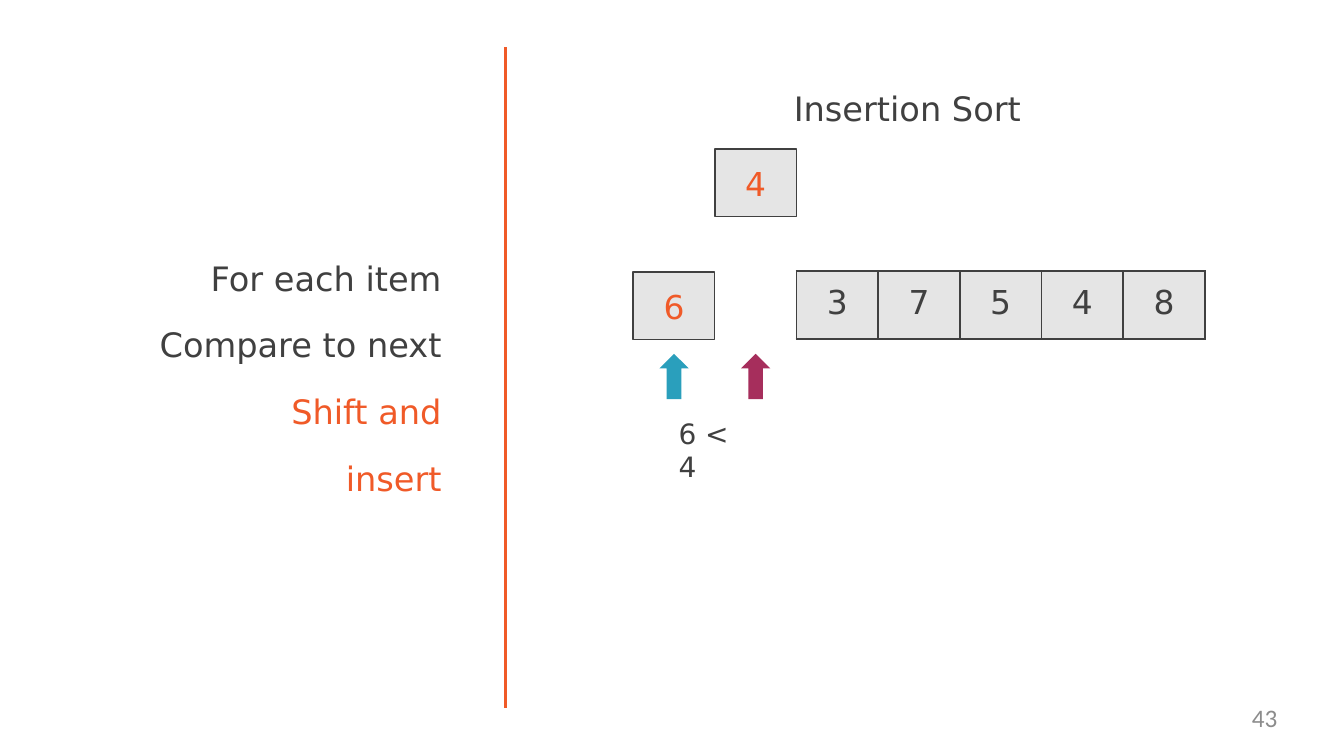
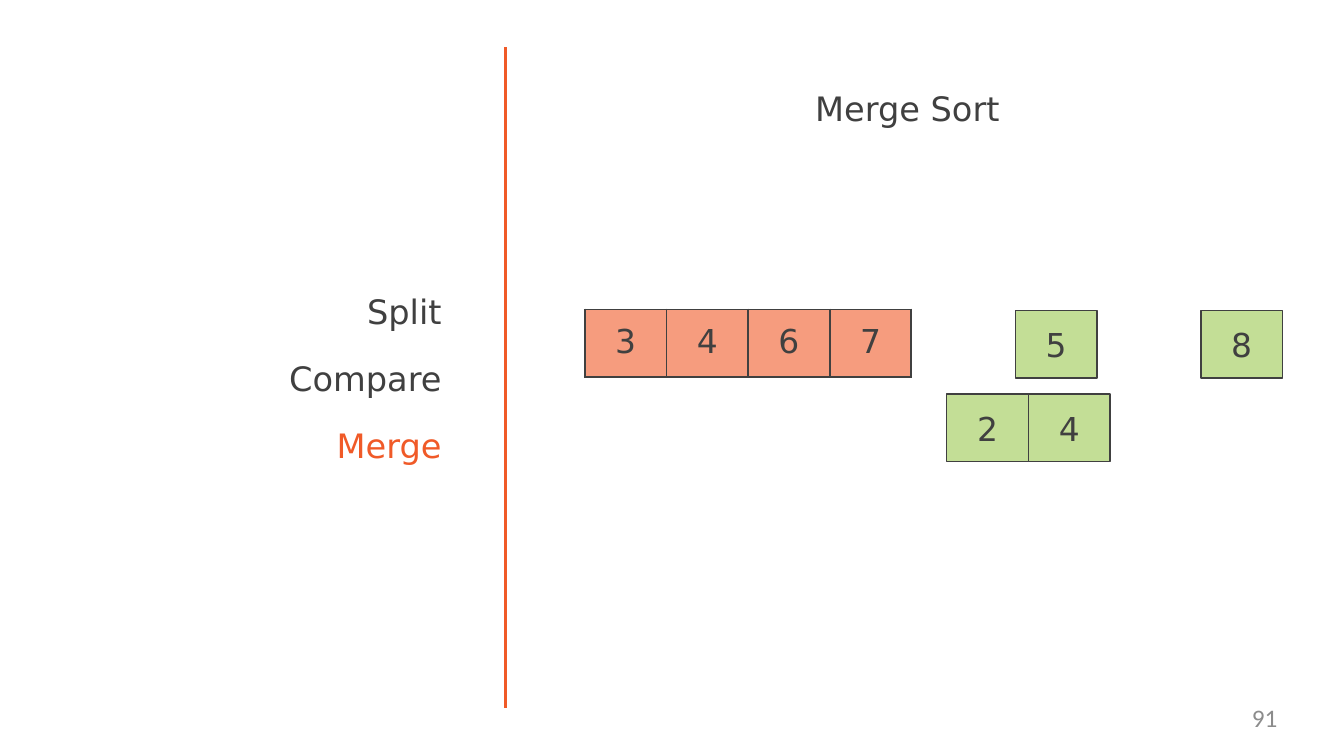
from dataclasses import dataclass

from lxml import etree
from pptx import Presentation
from pptx.dml.color import RGBColor
from pptx.enum import shapes, text
from pptx.oxml import ns
from pptx.util import Inches, Pt


@dataclass(frozen=True)
class Theme:
    font: str = "DejaVu Sans"
    number_font: str = "Calibri"
    ink: str = "404040"
    accent: str = "F05A28"
    muted: str = "8C8C8C"
    grey: str = "E5E5E5"
    salmon: str = "F69C7E"
    green: str = "C3DE96"
    blue: str = "2A9FBC"
    plum: str = "A62E5C"
    heading: float = 24
    digit: float = 23.5
    note: float = 20
    page_number: float = 18


THEME = Theme()
CELL_W, CELL_H = 0.81, 0.67
ALIGN = text.PP_ALIGN
ANCHOR = text.MSO_ANCHOR

SLIDES = [
    {
        "title": "Insertion Sort",
        "number": "43",
        "steps": ["For each item", "Compare to next", "Shift and", "insert"],
        "active": ["Shift and", "insert"],
        "boxes": [("6", 6.28, 2.7, THEME.grey, THEME.accent),
                  ("4", 7.09, 1.48, THEME.grey, THEME.accent)],
        "array": ("37548", 7.9, 2.69, THEME.grey),
        "pointers": [(6.54, THEME.blue), (7.35, THEME.plum)],
        "comparison": "6 < 4",
    },
    {
        "title": "Merge Sort",
        "number": "91",
        "steps": ["Split", "Compare", "Merge"],
        "active": ["Merge"],
        "boxes": [("2", 9.39, 3.91, THEME.green, THEME.ink),
                  ("4", 10.2, 3.91, THEME.green, THEME.ink),
                  ("5", 10.07, 3.08, THEME.green, THEME.ink),
                  ("8", 11.91, 3.08, THEME.green, THEME.ink)],
        "array": ("3467", 5.8, 3.07, THEME.salmon),
        "pointers": [],
        "comparison": None,
    },
]


def write(frame, lines, size, align, anchor=ANCHOR.TOP, color=THEME.ink,
          font=THEME.font, active=(), gap=0):
    """Fill a text frame, one paragraph a line; active lines take the accent."""
    frame.margin_left = frame.margin_right = 0
    frame.margin_top = frame.margin_bottom = 0
    frame.word_wrap = True
    frame.vertical_anchor = anchor
    for index, line in enumerate(lines):
        para = frame.add_paragraph() if index else frame.paragraphs[0]
        para.text = line
        para.alignment = align
        if index and gap:
            para.space_before = Pt(gap)
        para.font.name = font
        para.font.size = Pt(size)
        para.font.color.rgb = RGBColor.from_string(
            THEME.accent if line in active else color)


def add_block(page, preset, left, top, width, height, fill):
    block = page.shapes.add_shape(preset, Inches(left), Inches(top),
                                  Inches(width), Inches(height))
    block.shadow.inherit = False
    block.fill.solid()
    block.fill.fore_color.rgb = RGBColor.from_string(fill)
    block.line.fill.background()
    return block


deck = Presentation()
deck.slide_width, deck.slide_height = Inches(13.33), Inches(7.5)

for content in SLIDES:
    page = deck.slides.add_slide(deck.slide_layouts[6])

    divider = page.shapes.add_connector(
        shapes.MSO_CONNECTOR.STRAIGHT,
        Inches(5.01), Inches(0.47), Inches(5.01), Inches(7.02))
    divider.line.color.rgb = RGBColor.from_string(THEME.accent)
    divider.line.width = Pt(2)
    etree.SubElement(divider._element.spPr, ns.qn("a:effectLst"))

    title = page.shapes.add_textbox(Inches(7), Inches(0.87), Inches(4), Inches(0.43))
    write(title.text_frame, [content["title"]], THEME.heading, ALIGN.CENTER)

    steps = page.shapes.add_textbox(Inches(1.38), Inches(2.25), Inches(3), Inches(3))
    write(steps.text_frame, content["steps"], THEME.heading, ALIGN.RIGHT,
          ANCHOR.MIDDLE, active=content["active"], gap=19)

    for digit, left, top, fill, color in content["boxes"]:
        box = add_block(page, shapes.MSO_SHAPE.RECTANGLE, left, top, CELL_W, CELL_H, fill)
        box.line.color.rgb = RGBColor.from_string(THEME.ink)
        box.line.width = Pt(1)
        write(box.text_frame, [digit], THEME.digit, ALIGN.CENTER, ANCHOR.MIDDLE, color)

    digits, left, top, fill = content["array"]
    frame = page.shapes.add_table(1, len(digits), Inches(left), Inches(top),
                                  Inches(CELL_W * len(digits)), Inches(CELL_H))
    array = frame.table
    array.first_row = array.horz_banding = False
    for column, digit in enumerate(digits):
        array.columns[column].width = Inches(CELL_W)
        cell = array.cell(0, column)
        write(cell.text_frame, [digit], THEME.digit, ALIGN.CENTER)
        cell.margin_left = cell.margin_right = cell.margin_bottom = 0
        cell.margin_top = Inches(0.13)
        properties = cell._tc.get_or_add_tcPr()
        for side in ("lnL", "lnR", "lnT", "lnB"):
            border = etree.SubElement(properties, ns.qn(f"a:{side}"), w=str(Pt(1.5)))
            solid = etree.SubElement(border, ns.qn("a:solidFill"))
            etree.SubElement(solid, ns.qn("a:srgbClr"), val=THEME.ink)
        cell.fill.solid()
        cell.fill.fore_color.rgb = RGBColor.from_string(fill)

    for left, color in content["pointers"]:
        add_block(page, shapes.MSO_SHAPE.UP_ARROW, left, 3.51, 0.29, 0.45, color)

    if content["comparison"]:
        comparison = page.shapes.add_textbox(
            Inches(6.73), Inches(4.13), Inches(0.7), Inches(0.7))
        write(comparison.text_frame, [content["comparison"]], THEME.note, ALIGN.LEFT)

    number = page.shapes.add_textbox(Inches(9.6), Inches(6.97), Inches(3.07), Inches(0.38))
    write(number.text_frame, [content["number"]], THEME.page_number, ALIGN.RIGHT,
          color=THEME.muted, font=THEME.number_font)

deck.save("out.pptx")
